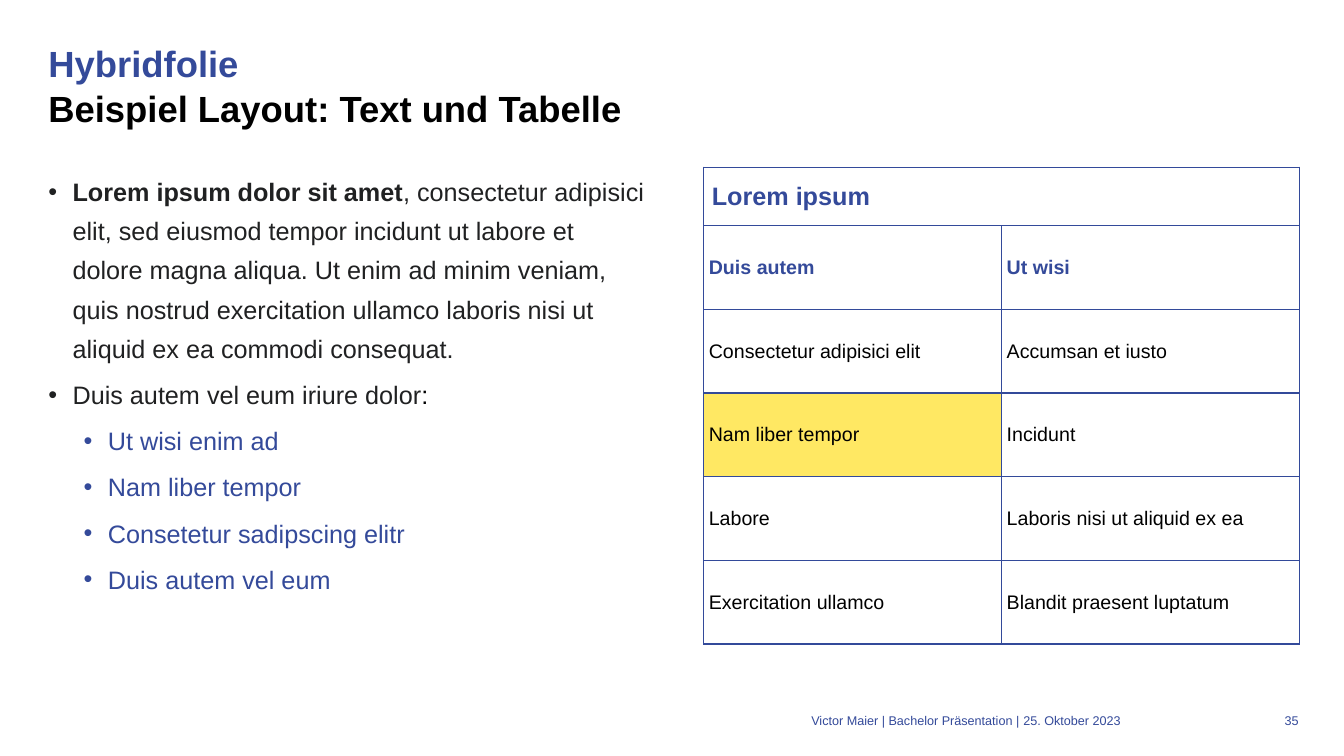
from lxml import etree
from pptx import Presentation
from pptx import util as u
from pptx.dml.color import RGBColor
from pptx.enum import text
from pptx.oxml import ns

inks = {"blue": "344A9A", "black": "000000", "body": "202122",
        "line": "334A9A", "mark": "FFE863"}
edge, top, col, gap = 0.48, 1.66, 5.91, 0.58
right = edge + col + gap + 0.01
end = right + col
foot = 7.07

deck = Presentation()
deck.slide_width, deck.slide_height = u.Inches(13.33), u.Inches(7.5)
slide = deck.slides.add_slide(deck.slide_layouts[6])


def style(run, size, ink, bold=False):
    run.font.name = "Arial"
    run.font.size = u.Pt(size)
    run.font.bold = bold
    run.font.color.rgb = RGBColor.from_string(inks[ink])


def box(left, y, wide, high, inset=0):
    frame = slide.shapes.add_textbox(*map(u.Inches, (left, y, wide, high))).text_frame
    frame.word_wrap = True
    frame.margin_left = u.Inches(inset)
    frame.margin_right = frame.margin_top = frame.margin_bottom = 0
    return frame


title = box(edge, 0.4, end - edge, 1.06)
title.text = "Hybridfolie\vBeispiel Layout: Text und Tabelle"
title.paragraphs[0].line_spacing = u.Pt(32)
for run, ink in zip(title.paragraphs[0].runs, ("blue", "black")):
    style(run, 26, ink, True)

items = [
    (0, [("Lorem ipsum dolor sit amet", "body", True),
         (", consectetur adipisici elit, sed eiusmod tempor incidunt ut labore et "
          "dolore magna aliqua. Ut enim ad minim veniam, quis nostrud exercitation "
          "ullamco laboris nisi ut aliquid ex ea commodi consequat.", "body", False)]),
    (0, [("Duis autem vel eum iriure dolor", "body", False), (":", "black", False)]),
]
for point in ("Ut wisi enim ad", "Nam liber tempor",
              "Consetetur sadipscing elitr", "Duis autem vel eum"):
    items.append((1, [(point, "blue", False)]))

body = box(edge, top, col, 5.12)
for i, (level, parts) in enumerate(items):
    para = body.add_paragraph() if i else body.paragraphs[0]
    para.level = level
    props = para._p.get_or_add_pPr()
    props.set("marL", str(u.Inches(0.24 + 0.35 * level)))
    props.set("indent", str(u.Inches(-0.24)))
    etree.SubElement(props, ns.qn("a:buFont")).set("typeface", "Arial")
    etree.SubElement(props, ns.qn("a:buChar")).set("char", "•")
    para.line_spacing = u.Pt(28)
    para.space_before = u.Pt(5 if i else 0)
    for words, ink, bold in parts:
        run = para.add_run()
        run.text = words
        style(run, 18, ink, bold)

rows = [
    ("Lorem ipsum", ""),
    ("Duis autem", "Ut wisi"),
    ("Consectetur adipisici elit", "Accumsan et iusto"),
    ("Nam liber tempor", "Incidunt"),
    ("Labore", "Laboris nisi ut aliquid ex ea"),
    ("Exercitation ullamco", "Blandit praesent luptatum"),
]
table = slide.shapes.add_table(
    len(rows), 2, *map(u.Inches, (right, top, col, 4.72))).table
table.first_row = table.horz_banding = False
for r, row in enumerate(rows):
    table.rows[r].height = u.Inches(0.83 if r else 0.58)
    for c, words in enumerate(row):
        cell = table.cell(r, c)
        cell.vertical_anchor = text.MSO_ANCHOR.MIDDLE
        cell.margin_left = cell.margin_right = u.Inches(0.05 if r else 0.08)
        cell.margin_top = cell.margin_bottom = u.Inches(0.05 if r else 0.04)
        props = cell._tc.get_or_add_tcPr()
        for side in "LRTB":
            line = etree.SubElement(props, ns.qn("a:ln" + side), w=str(u.Pt(1)))
            fill = etree.SubElement(line, ns.qn("a:solidFill"))
            etree.SubElement(fill, ns.qn("a:srgbClr"), val=inks["line"])
        if words == "Nam liber tempor":
            cell.fill.solid()
            cell.fill.fore_color.rgb = RGBColor.from_string(inks["mark"])
        else:
            cell.fill.background()
        if words:
            cell.text_frame.text = words
            style(cell.text_frame.paragraphs[0].runs[0], 14 if r else 18,
                  "black" if r > 1 else "blue", r < 2)
table.cell(0, 0).merge(table.cell(0, 1))

left, far = text.PP_ALIGN.LEFT, text.PP_ALIGN.RIGHT
for x, wide, inset, side, words in (
        (3.26, 6.85, 0, far, "Victor Maier | Bachelor Präsentation |"),
        (10.11, 1.57, 0.04, left, "25. Oktober 2023"),
        (12.49, 0.39, 0, far, "35")):
    note = box(x, foot, wide, 0.2, inset)
    note.text = words
    note.paragraphs[0].alignment = side
    style(note.paragraphs[0].runs[0], 9, "blue")

deck.save("out.pptx")
